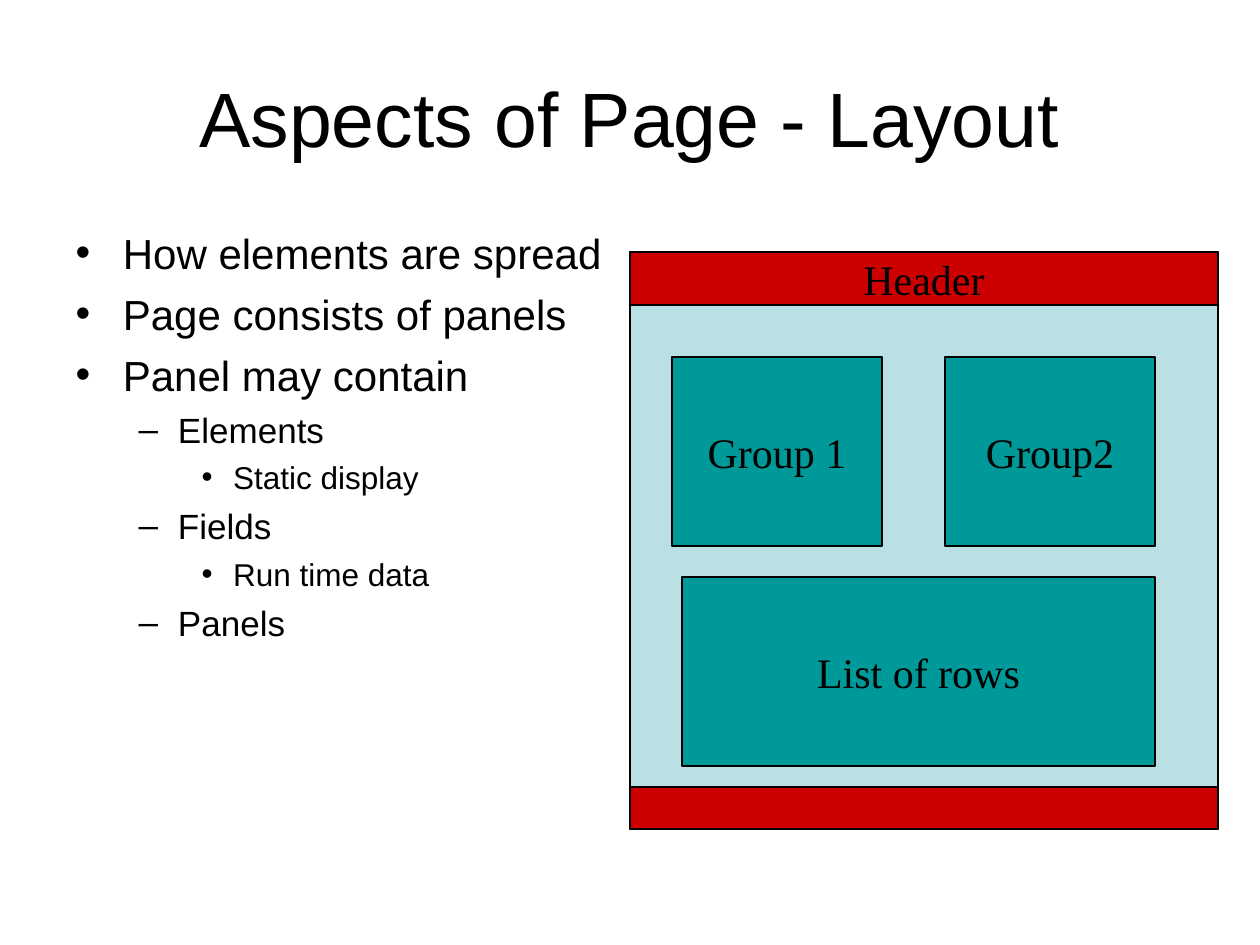
"""Build the slide about page layout, with a bullet list and a page mock-up."""
from pptx import Presentation
from pptx.dml.color import RGBColor
from pptx.enum.shapes import MSO_SHAPE
from pptx.enum.text import MSO_ANCHOR, MSO_AUTO_SIZE, PP_ALIGN
from pptx.util import Emu, Pt

RECTANGLE = MSO_SHAPE.RECTANGLE
CENTER, LEFT = PP_ALIGN.CENTER, PP_ALIGN.LEFT
TOP, MIDDLE = MSO_ANCHOR.TOP, MSO_ANCHOR.MIDDLE
NO_AUTOFIT = MSO_AUTO_SIZE.NONE

BLACK = RGBColor(0x00, 0x00, 0x00)
PALE_BLUE = RGBColor(0xBB, 0xE0, 0xE3)
RED = RGBColor(0xCC, 0x00, 0x00)
TEAL = RGBColor(0x00, 0x99, 0x99)

PIXELS_PER_INCH = 126
SLIDE_SIZE = (1260, 945)
TITLE = "Aspects of Page - Layout"
TITLE_BOX = (63, 38, 1134, 157)
BODY_BOX = (63, 221, 1134, 623)
BULLETS = [
    (0, "How elements are spread"),
    (0, "Page consists of panels"),
    (0, "Panel may contain"),
    (1, "Elements"),
    (2, "Static display"),
    (1, "Fields"),
    (2, "Run time data"),
    (1, "Panels"),
]
LEVEL_FORMATS = [(24, 6), (20, 5), (18, 4.5)]

PAGE_LEFT, PAGE_TOP, PAGE_WIDTH, PAGE_HEIGHT = 630, 252, 588, 577
HEADER_HEIGHT, FOOTER_HEIGHT = 53, 42
FOOTER_TOP = PAGE_TOP + PAGE_HEIGHT - FOOTER_HEIGHT
GROUP_TOP, GROUP_WIDTH, PANEL_HEIGHT = 357, 210, 189
PANELS = [
    ("", PALE_BLUE, (PAGE_LEFT, PAGE_TOP, PAGE_WIDTH, PAGE_HEIGHT)),
    ("Header", RED, (PAGE_LEFT, PAGE_TOP, PAGE_WIDTH, HEADER_HEIGHT)),
    ("Group 1", TEAL, (672, GROUP_TOP, GROUP_WIDTH, PANEL_HEIGHT)),
    ("Group2", TEAL, (945, GROUP_TOP, GROUP_WIDTH, PANEL_HEIGHT)),
    ("List of rows", TEAL, (682, 577, 473, PANEL_HEIGHT)),
    ("", RED, (PAGE_LEFT, FOOTER_TOP, PAGE_WIDTH, FOOTER_HEIGHT)),
]


def px(length):
    return Emu(round(length * 914400 / PIXELS_PER_INCH))


def write(paragraph, text, size, font="Arial", align=LEFT, level=0, before=0):
    paragraph.level = level
    paragraph.alignment = align
    paragraph.space_before = Pt(before)
    run = paragraph.add_run()
    run.text = text
    run.font.name = font
    run.font.size = Pt(size)
    run.font.color.rgb = BLACK


def prepare_placeholder(shape, box, anchor):
    shape.left, shape.top, shape.width, shape.height = map(px, box)
    frame = shape.text_frame
    frame.auto_size = NO_AUTOFIT
    frame.vertical_anchor = anchor
    return frame


def add_panel(slide, text, color, box):
    shape = slide.shapes.add_shape(RECTANGLE, *map(px, box))
    shape.shadow.inherit = False
    shape.fill.solid()
    shape.fill.fore_color.rgb = color
    shape.line.color.rgb = BLACK
    shape.line.width = Pt(0.75)
    if text:
        frame = shape.text_frame
        frame.word_wrap = False
        frame.vertical_anchor = MIDDLE
        write(frame.paragraphs[0], text, 24, font="Times New Roman", align=CENTER)


def main():
    presentation = Presentation()
    presentation.slide_width, presentation.slide_height = map(px, SLIDE_SIZE)
    slide = presentation.slides.add_slide(presentation.slide_layouts[1])

    title = prepare_placeholder(slide.shapes.title, TITLE_BOX, MIDDLE)
    write(title.paragraphs[0], TITLE, 44, align=CENTER)

    body = prepare_placeholder(slide.placeholders[1], BODY_BOX, TOP)
    for index, (level, text) in enumerate(BULLETS):
        paragraph = body.add_paragraph() if index else body.paragraphs[0]
        size, before = LEVEL_FORMATS[level]
        write(paragraph, text, size, level=level, before=before)

    for text, color, box in PANELS:
        add_panel(slide, text, color, box)

    presentation.save("out.pptx")


if __name__ == "__main__":
    main()
